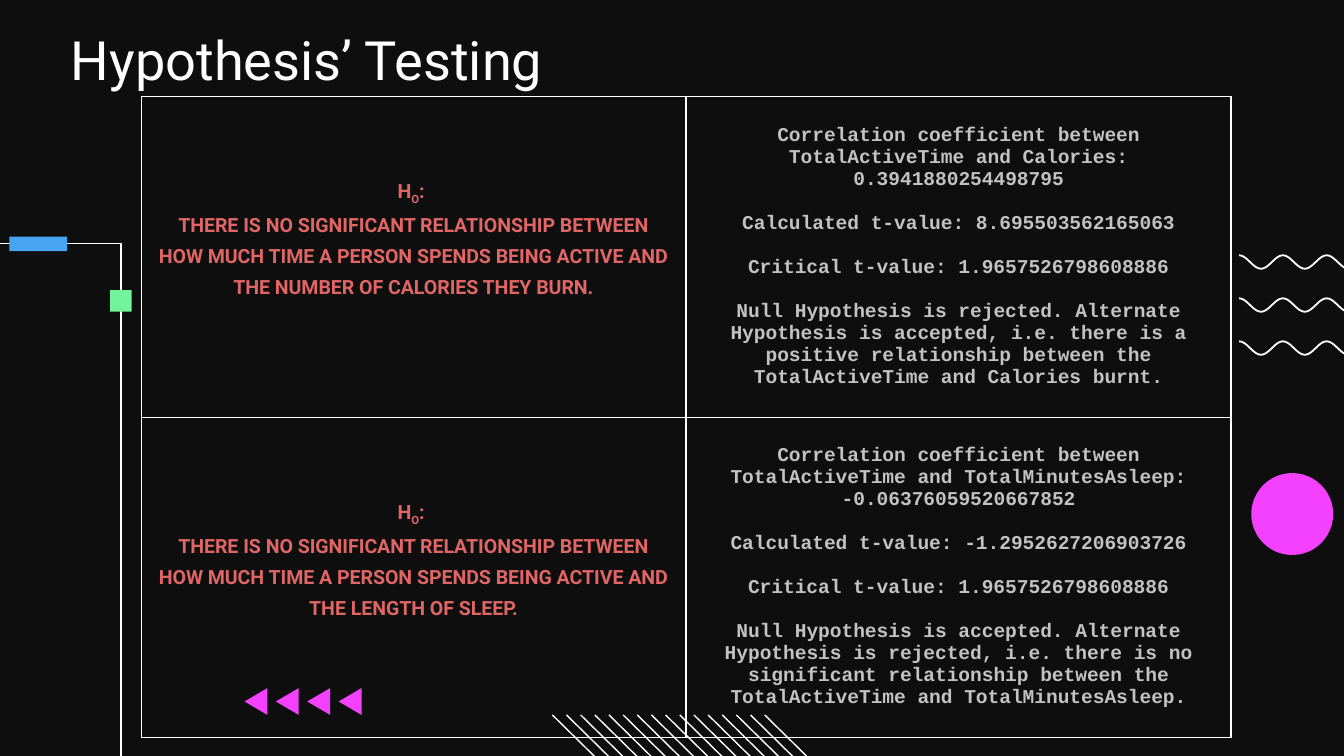
"""Build the hypothesis testing slide with its table and ornaments."""
import math

import pptx
import pptx.dml.color
import pptx.enum.shapes
import pptx.enum.text
import pptx.oxml
import pptx.oxml.ns
import pptx.util

Inches, Pt = pptx.util.Inches, pptx.util.Pt
SHAPE = pptx.enum.shapes.MSO_SHAPE
ALIGN = pptx.enum.text.PP_ALIGN
ANCHOR = pptx.enum.text.MSO_ANCHOR

WHITE, PINK, GREEN, BLUE = "FFFFFF", "F341FF", "72F49A", "47A5F3"
TITLE = {"name": "Roboto", "size": Pt(29), "color": WHITE}
CLAIM = {"name": "Roboto", "size": Pt(10.5), "bold": True, "color": "E06666"}
RESULT = {"name": "Courier New", "size": Pt(10.5), "bold": True, "color": "C2C2C2"}
CLAIM_PARA = {"alignment": ALIGN.CENTER, "line_spacing": 1.36}
RESULT_PARA = {"alignment": ALIGN.CENTER}
GAP_PARA = {"alignment": ALIGN.CENTER, "space_before": Pt(11.8)}

CLAIM_START = "THERE IS NO SIGNIFICANT RELATIONSHIP BETWEEN HOW MUCH TIME A PERSON SPENDS BEING ACTIVE AND "
ROWS = [
    ("THE NUMBER OF CALORIES THEY BURN.", [
        "Correlation coefficient between TotalActiveTime and Calories: 0.3941880254498795",
        "Calculated t-value: 8.695503562165063",
        "Critical t-value: 1.9657526798608886",
        "Null Hypothesis is rejected. Alternate Hypothesis is accepted, i.e. there is a "
        "positive relationship between the TotalActiveTime and Calories burnt."]),
    ("THE LENGTH OF SLEEP.", [
        "Correlation coefficient between TotalActiveTime and TotalMinutesAsleep: -0.06376059520667852",
        "Calculated t-value: -1.2952627206903726",
        "Critical t-value: 1.9657526798608886",
        "Null Hypothesis is accepted. Alternate Hypothesis is rejected, i.e. there is no "
        "significant relationship between the TotalActiveTime and TotalMinutesAsleep."]),
]


def rgb(value):
    return pptx.dml.color.RGBColor.from_string(value)


def apply(obj, formats):
    for name, value in formats.items():
        if name == "color":
            obj.color.rgb = rgb(value)
        else:
            setattr(obj, name, value)


class Deck:
    def __init__(self, width, height, background):
        self.prs = pptx.Presentation()
        self.prs.slide_width, self.prs.slide_height = width, height
        self.s = self.prs.slides.add_slide(self.prs.slide_layouts[6])
        self.s.background.fill.solid()
        self.s.background.fill.fore_color.rgb = rgb(background)

    def paint(self, sp, fill=None, line=None, weight=0.75):
        sp.shadow.inherit = False
        if fill:
            sp.fill.solid()
            sp.fill.fore_color.rgb = rgb(fill)
        else:
            sp.fill.background()
        if line:
            sp.line.color.rgb = rgb(line)
            sp.line.width = Pt(weight)
        else:
            sp.line.fill.background()

    def shape(self, kind, x, y, w, h, fill):
        sp = self.s.shapes.add_shape(kind, Inches(x), Inches(y), Inches(w), Inches(h))
        self.paint(sp, fill)

    def outline(self, points, close=False, **look):
        points = [(Inches(x), Inches(y)) for x, y in points]
        builder = self.s.shapes.build_freeform(*points[0])
        builder.add_line_segments(points[1:], close=close)
        self.paint(builder.convert_to_shape(), **look)

    def line(self, x1, y1, x2, y2, color):
        sp = self.s.shapes.add_connector(
            pptx.enum.shapes.MSO_CONNECTOR.STRAIGHT, Inches(x1), Inches(y1), Inches(x2), Inches(y2))
        sp.line.color.rgb = rgb(color)
        sp.line.width = Pt(0.75)
        sp._element.spPr.append(pptx.oxml.parse_xml(
            f'<a:effectLst {pptx.oxml.ns.nsdecls("a")}/>'))

    def run(self, p, text, font, baseline=None):
        r = p.add_run()
        r.text = text
        apply(r.font, font)
        if baseline:
            r.font._element.set("baseline", str(baseline))

    def title(self, text, x, y, w, h):
        tf = self.s.shapes.add_textbox(Inches(x), Inches(y), Inches(w), Inches(h)).text_frame
        apply(tf, {"word_wrap": True, "vertical_anchor": ANCHOR.TOP, "margin_top": 0,
                   "margin_left": Inches(0.1), "margin_right": Inches(0.1), "margin_bottom": Inches(0.1)})
        self.run(tf.paragraphs[0], text, TITLE)

    def cell(self, cell, border, bottom):
        apply(cell, {f"margin_{side}": Inches(0.1) for side in ("left", "right", "top")})
        apply(cell, {"margin_bottom": Inches(bottom), "vertical_anchor": ANCHOR.MIDDLE})
        tc_pr = cell._tc.get_or_add_tcPr()
        for side in "LRTB":
            tc_pr.append(pptx.oxml.parse_xml(
                f'<a:ln{side} {pptx.oxml.ns.nsdecls("a")} w="{Pt(0.75)}"><a:solidFill>'
                f'<a:srgbClr val="{border}"/></a:solidFill></a:ln{side}>'))
        cell.fill.background()

    def table(self, rows, x, y, w, h):
        table = self.s.shapes.add_table(
            len(rows), 2, Inches(x), Inches(y), Inches(w), Inches(h)).table
        apply(table, {"first_row": False, "horz_banding": False})
        for row, (claim, results) in zip(table.rows, rows):
            left, right = row.cells
            self.cell(left, WHITE, 0.42)
            self.cell(right, WHITE, 0.1)
            tf = left.text_frame
            head, body = tf.paragraphs[0], tf.add_paragraph()
            for p in (head, body):
                apply(p, CLAIM_PARA)
            for text, baseline in (("H", None), ("O", -25000), (": ", None)):
                self.run(head, text, CLAIM, baseline)
            self.run(body, CLAIM_START + claim, CLAIM)
            tf = right.text_frame
            for i, text in enumerate(results):
                p = tf.add_paragraph() if i else tf.paragraphs[0]
                apply(p, GAP_PARA if i else RESULT_PARA)
                self.run(p, text, RESULT)


def main():
    width = Inches(10)
    deck = Deck(width, width * 9 // 16, "0E0E0E")
    deck.outline([(0.9, 6.13), (0.9, 1.81), (-2.49, 1.81)], line=WHITE)
    deck.shape(SHAPE.RECTANGLE, 0.82, 2.16, 0.16, 0.16, GREEN)
    deck.shape(SHAPE.RECTANGLE, 0.07, 1.76, 0.43, 0.11, BLUE)
    deck.shape(SHAPE.OVAL, 9.31, 3.52, 0.61, 0.61, PINK)
    for i in range(4):
        x = 2.52 - 0.7 / 3 * i
        deck.outline([(x + 0.17, 5.12), (x, 5.22), (x + 0.17, 5.32)], close=True, fill=PINK)
    for i in range(16):
        x = 4.11 + 1.58 / 15 * i
        deck.line(x, 5.32, x + 0.57, 5.88, WHITE)
    steps, halves = 12, 7
    for i in range(3):
        wave = [(9.22 + 1.14 * k / (steps * halves),
                 1.95 + 0.32 * i - 0.05 * math.cos(math.pi * k / steps))
                for k in range(steps * halves + 1)]
        deck.outline(wave, line=WHITE, weight=0.95)
    deck.table(ROWS, 1.05, 0.72, 8.11, 4.77)
    deck.title("Hypothesis’ Testing", 0.43, 0.2, 8.44, 0.46)
    deck.prs.save("out.pptx")


if __name__ == "__main__":
    main()
